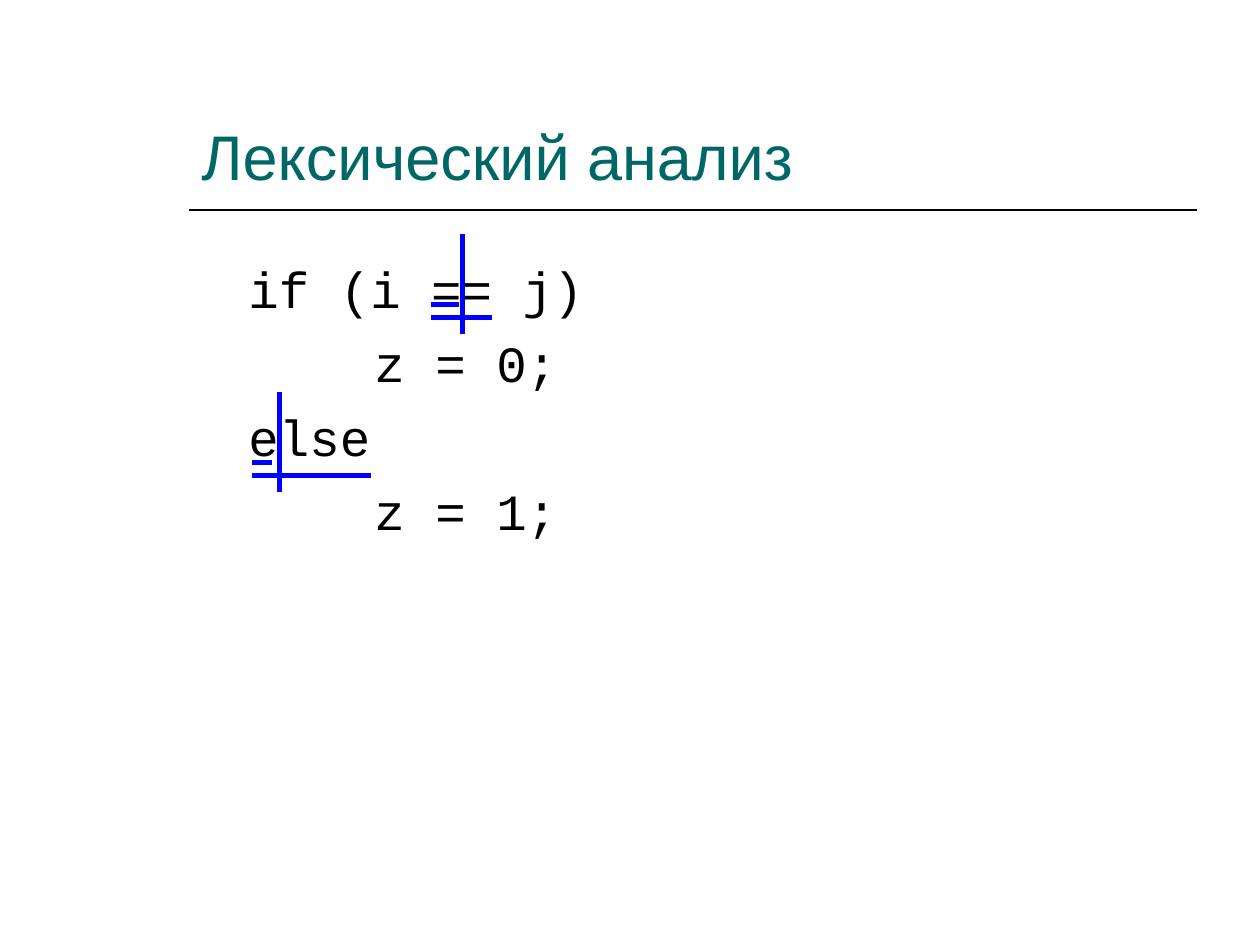
from lxml import etree
from pptx import Presentation
from pptx.dml.color import RGBColor
from pptx.enum.shapes import MSO_CONNECTOR
from pptx.enum.text import MSO_ANCHOR
from pptx.oxml.ns import qn
from pptx.util import Cm, Pt

STRAIGHT = MSO_CONNECTOR.STRAIGHT
TOP, BOTTOM = MSO_ANCHOR.TOP, MSO_ANCHOR.BOTTOM

TITLE = {"name": "Arial", "size": Pt(36), "color": "006666"}
CODE = {"name": "Courier New", "size": Pt(29), "color": "000000"}
BLACK, BLUE = "000000", "0000FF"
LEFT, WIDTH = 3.81, 20.32
INDENT, TAB = 0.95, 2.54


def rgb(value):
    return RGBColor.from_string(value)


class SlideBuilder:
    """Holds the current slide and draws its elements; lengths are in cm."""

    def __init__(self, slide):
        self.slide = slide

    def text(self, x, y, w, h, lines, style, anchor=TOP, before=0):
        """Add a text box; each line is a (text, left margin) pair."""
        sp = self.slide.shapes.add_textbox(Cm(x), Cm(y), Cm(w), Cm(h))
        tf = sp.text_frame
        tf.word_wrap = True
        tf.vertical_anchor = anchor
        for i, (content, margin) in enumerate(lines):
            p = tf.add_paragraph() if i else tf.paragraphs[0]
            p.space_before = Pt(before)
            p._p.get_or_add_pPr().set("marL", str(Cm(margin)))
            r = p.add_run()
            r.text = content
            for key, value in style.items():
                if key == "color":
                    r.font.color.rgb = rgb(value)
                else:
                    setattr(r.font, key, value)

    def line(self, x1, y1, x2, y2, color, width):
        c = self.slide.shapes.add_connector(
            STRAIGHT, Cm(x1), Cm(y1), Cm(x2), Cm(y2))
        c.line.color.rgb = rgb(color)
        c.line.width = Pt(width)
        etree.SubElement(c._element.spPr, qn("a:effectLst"))

    def lexeme_mark(self, left, cut, top, short_end, long_end):
        """Cut after the first character, underline it and the whole lexeme."""
        self.line(cut, top, cut, top + 2.01, BLUE, 3)
        for end, drop in ((short_end, 1.42), (long_end, 1.68)):
            self.line(left, top + drop, end, top + drop, BLUE, 3)


def main():
    prs = Presentation()
    prs.slide_width, prs.slide_height = Cm(25.4), Cm(19.05)
    s = SlideBuilder(prs.slides.add_slide(prs.slide_layouts[6]))

    # Title and rule
    s.line(LEFT, 4.24, LEFT + WIDTH, 4.24, BLACK, 1)
    s.text(LEFT, 0.84, WIDTH, 3.18, [("Лексический анализ", 0)], TITLE, BOTTOM)

    # Code sample
    code = [("if (i == j)", 0), ("z = 0;", 1), ("else", 0), ("z = 1;", 1)]
    lines = [(content, INDENT + level * TAB) for content, level in code]
    s.text(LEFT, 5.08, WIDTH, 11.43, lines, CODE, before=7.3)

    # Marks on "else" and "=="
    s.lexeme_mark(5.08, 5.64, 7.9, 5.49, 7.47)
    s.lexeme_mark(8.69, 9.32, 4.72, 9.25, 9.91)

    prs.save("out.pptx")


if __name__ == "__main__":
    main()
